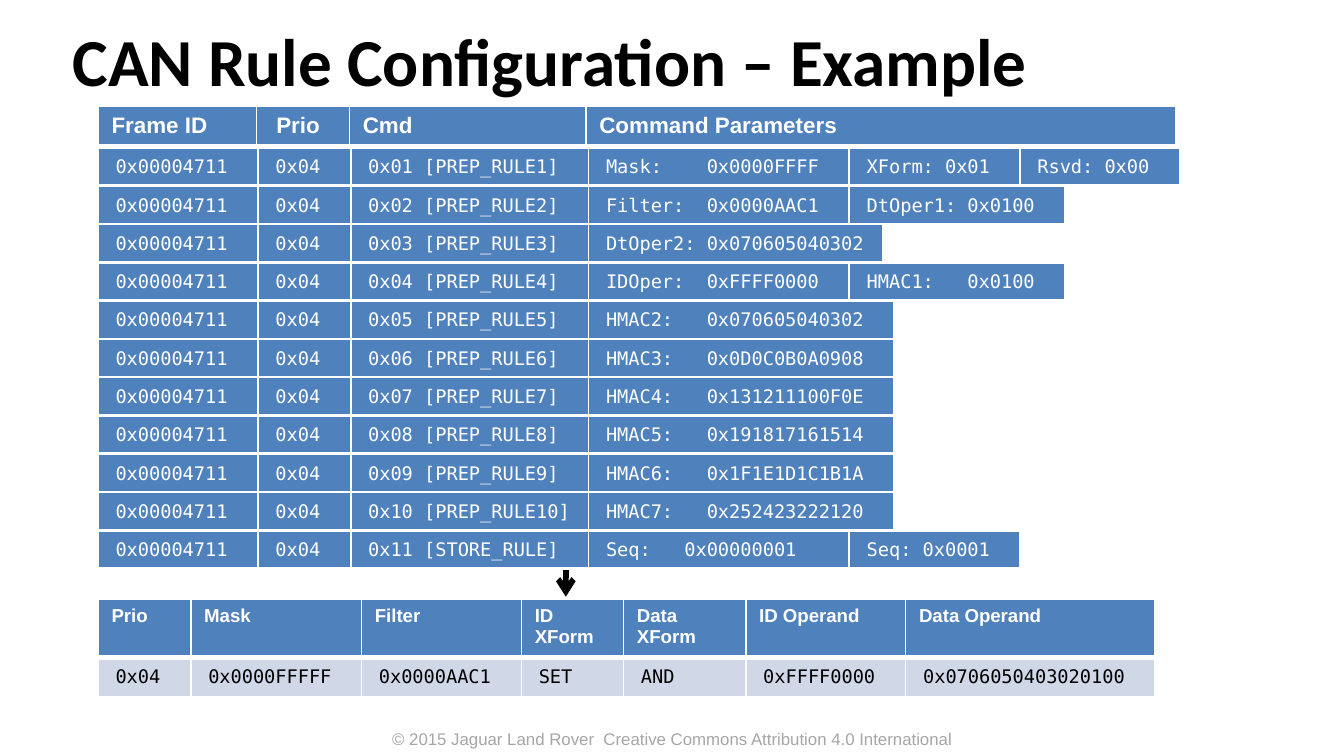
import pptx
import pptx.util
import pptx.dml.color
import pptx.enum.shapes
import pptx.enum.text
import pptx.oxml
import pptx.oxml.ns

Inches = pptx.util.Inches
Pt = pptx.util.Pt
Anchor = pptx.enum.text.MSO_ANCHOR
COLORS = {"white": "FFFFFF", "black": "000000", "blue": "4F81BD",
          "pale": "D0D8E8", "gray": "A6A6A6"}
MONO = "DejaVu Sans Mono"
NS = pptx.oxml.ns.nsdecls("a")
LEFT = 0.73

deck = pptx.Presentation()
deck.slide_width = Inches(10)
deck.slide_height = Inches(10 * 9 / 16)
page = deck.slides.add_slide(deck.slide_layouts[6])


def add_span(para, text, font, size, color, bold=False):
    span = para.add_run()
    span.text = text
    span.font.name = font
    span.font.size = Pt(size)
    span.font.bold = bold
    span.font.color.rgb = pptx.dml.color.RGBColor.from_string(COLORS[color])


def add_grid(top, widths, rows):
    """Add a table; each row is (height, texts, font, size, color, fill, bottom border)."""
    height = sum(row[0] for row in rows)
    grid = page.shapes.add_table(len(rows), len(widths), Inches(LEFT), Inches(top),
                                 Inches(sum(widths)), Inches(height)).table
    grid.first_row = False
    grid.horz_banding = False
    for column, width in zip(grid.columns, widths):
        column.width = Inches(width)
    for r, (row_height, texts, font, size, color, fill, bottom) in enumerate(rows):
        grid.rows[r].height = Inches(row_height)
        for c, text in enumerate(texts):
            cell = grid.cell(r, c)
            if font == MONO:
                cell.vertical_anchor = Anchor.MIDDLE
                cell.margin_left = cell.margin_right = Inches(0.13)
                cell.margin_top = cell.margin_bottom = Inches(0.06)
            cell.fill.solid()
            cell.fill.fore_color.rgb = pptx.dml.color.RGBColor.from_string(COLORS[fill])
            add_span(cell.text_frame.paragraphs[0], text, font, size, color, font != MONO)
            borders = {"lnL": 1, "lnR": 1, "lnT": 3 if r else 1, "lnB": bottom}
            for index, (side, points) in enumerate(borders.items()):
                cell._tc.get_or_add_tcPr().insert(index, pptx.oxml.parse_xml(
                    f'<a:{side} {NS} w="{Pt(points)}"><a:solidFill>'
                    f'<a:srgbClr val="{COLORS["white"]}"/></a:solidFill></a:{side}>'))


footer = page.shapes.add_textbox(Inches(2.5), Inches(5.37), Inches(5), Inches(0.25))
footer.text_frame.word_wrap = True
footer.text_frame.auto_size = pptx.enum.text.MSO_AUTO_SIZE.SHAPE_TO_FIT_TEXT
para = footer.text_frame.paragraphs[0]
para.alignment = pptx.enum.text.PP_ALIGN.CENTER
add_span(para, "© 2015 Jaguar Land Rover  Creative Commons Attribution 4.0 International",
         "Arial", 9, "gray")

title = page.shapes.add_textbox(Inches(0.54), Inches(0.08), Inches(8.74), Inches(0.79))
frame = title.text_frame
frame.word_wrap = True
frame.vertical_anchor = Anchor.MIDDLE
frame.margin_left = frame.margin_right = frame.margin_top = frame.margin_bottom = 0
frame.paragraphs[0].line_spacing = 0.95
add_span(frame.paragraphs[0], "CAN Rule Configuration – Example", "Calibri", 36, "black", True)

# Command frames: each is its own one-row table, as parameter widths differ
commands = [
    ("0x01 [PREP_RULE1]", ["Mask:    0x0000FFFF", "XForm: 0x01", "Rsvd: 0x00"],
     [1.94, 1.27, 1.19]),
    ("0x02 [PREP_RULE2]", ["Filter:  0x0000AAC1", "DtOper1: 0x0100"], [1.94, 1.6]),
    ("0x03 [PREP_RULE3]", ["DtOper2: 0x070605040302"], [2.19]),
    ("0x04 [PREP_RULE4]", ["IDOper:  0xFFFF0000", "HMAC1:   0x0100"], [1.94, 1.6]),
    ("0x05 [PREP_RULE5]", ["HMAC2:   0x070605040302"], [2.27]),
    ("0x06 [PREP_RULE6]", ["HMAC3:   0x0D0C0B0A0908"], [2.27]),
    ("0x07 [PREP_RULE7]", ["HMAC4:   0x131211100F0E"], [2.27]),
    ("0x08 [PREP_RULE8]", ["HMAC5:   0x191817161514"], [2.27]),
    ("0x09 [PREP_RULE9]", ["HMAC6:   0x1F1E1D1C1B1A"], [2.27]),
    ("0x10 [PREP_RULE10]", ["HMAC7:   0x252423222120"], [2.27]),
    ("0x11 [STORE_RULE]", ["Seq:   0x00000001", "Seq: 0x0001"], [1.94, 1.27]),
]
first_top, last_top = 1.1, 3.95
pitch = (last_top - first_top) / (len(commands) - 1)
for i, (command, parameters, widths) in enumerate(commands):
    texts = ["0x00004711", "0x04", command] + parameters
    add_grid(first_top + i * pitch, [1.19, 0.69, 1.77] + widths,
             [(0.29, texts, MONO, 10, "white", "blue", 3)])

add_grid(0.79, [1.18, 0.69, 1.76, 4.39],
         [(0.3, ["Frame ID", " Prio", "Cmd", "Command Parameters"],
           "Arial", 12, "white", "blue", 3)])

# Resulting rule
add_grid(4.46, [0.69, 1.27, 1.19, 0.76, 0.91, 1.19, 1.85], [
    (0.43, ["Prio", "Mask", "Filter", "ID XForm", "Data XForm", "ID Operand", "Data Operand"],
     "Arial", 10, "white", "blue", 3),
    (0.29, ["0x04", "0x0000FFFFF", "0x0000AAC1", "SET", "AND", "0xFFFF0000",
            "0x0706050403020100"], MONO, 10, "black", "pale", 1),
])

arrow = page.shapes.add_connector(pptx.enum.shapes.MSO_CONNECTOR.STRAIGHT,
                                  Inches(4.21), Inches(4.24), Inches(4.21), Inches(4.44))
arrow.line.width = Pt(3)
arrow.line.color.rgb = pptx.dml.color.RGBColor.from_string(COLORS["black"])
arrow.line._get_or_add_ln().append(pptx.oxml.parse_xml(f'<a:tailEnd {NS} type="arrow"/>'))
arrow._element.spPr.append(pptx.oxml.parse_xml(f"<a:effectLst {NS}/>"))

deck.save("out.pptx")
